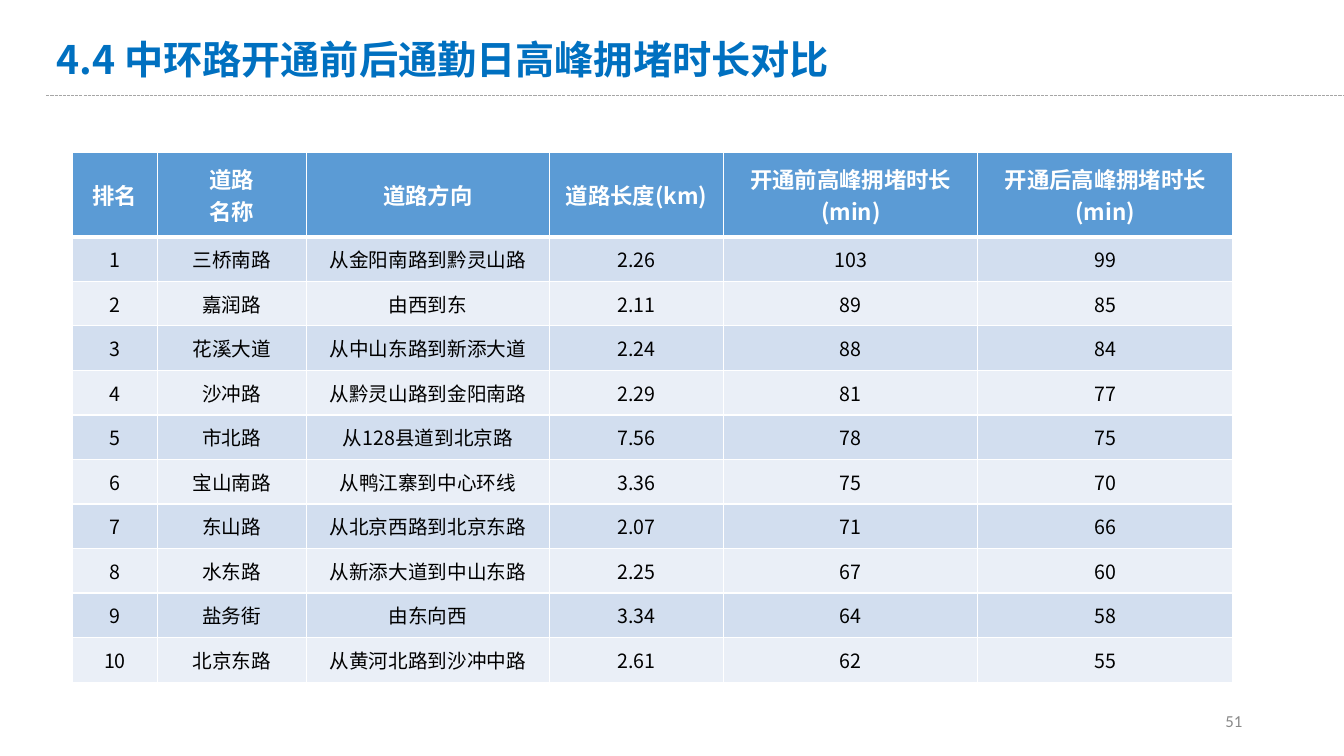
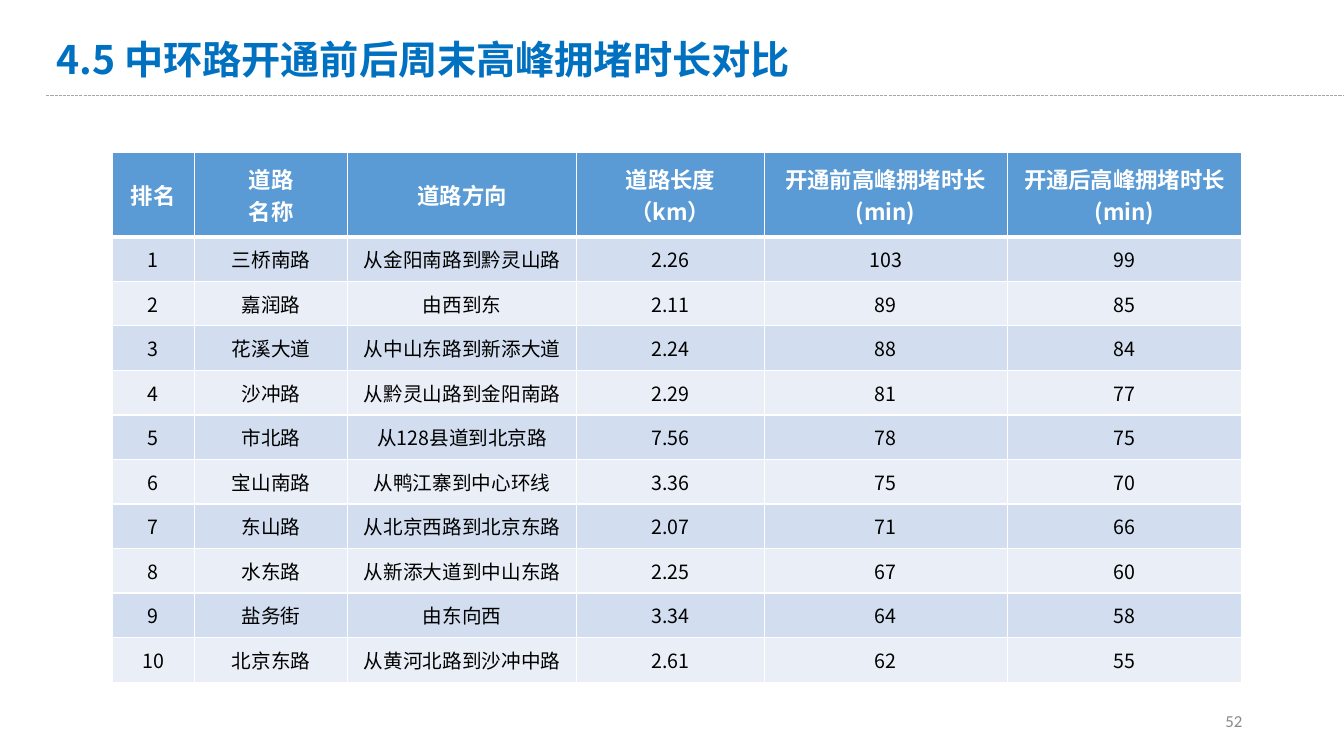
from pptx import Presentation
from pptx.dml.color import RGBColor
from pptx.enum.dml import MSO_LINE
from pptx.enum.shapes import MSO_CONNECTOR
from pptx.enum.text import MSO_ANCHOR, PP_ALIGN
from pptx.oxml.ns import qn
from pptx.util import Inches, Pt
from lxml import etree

CENTER, LEFT, RIGHT = PP_ALIGN.CENTER, PP_ALIGN.LEFT, PP_ALIGN.RIGHT
MIDDLE = MSO_ANCHOR.MIDDLE
DASH = MSO_LINE.SQUARE_DOT
STRAIGHT = MSO_CONNECTOR.STRAIGHT

COLORS = {
    "title": "0070C0",
    "rule": "A6A6A6",
    "header": "5B9BD5",
    "odd": "D2DEEF",
    "even": "EAEFF7",
    "border": "FFFFFF",
    "header_text": "FFFFFF",
    "body_text": "000000",
    "number": "898989",
}
MAIN_FONT = "Noto Sans CJK SC"
NUMBER_FONT = "Calibri"

ROADS = [
    ("三桥南路", "从金阳南路到黔灵山路", "2.26", "103", "99"),
    ("嘉润路", "由西到东", "2.11", "89", "85"),
    ("花溪大道", "从中山东路到新添大道", "2.24", "88", "84"),
    ("沙冲路", "从黔灵山路到金阳南路", "2.29", "81", "77"),
    ("市北路", "从128县道到北京路", "7.56", "78", "75"),
    ("宝山南路", "从鸭江寨到中心环线", "3.36", "75", "70"),
    ("东山路", "从北京西路到北京东路", "2.07", "71", "66"),
    ("水东路", "从新添大道到中山东路", "2.25", "67", "60"),
    ("盐务街", "由东向西", "3.34", "64", "58"),
    ("北京东路", "从黄河北路到沙冲中路", "2.61", "62", "55"),
]

PAGES = [
    {
        "title": "4.4 中环路开通前后通勤日高峰拥堵时长对比",
        "number": 51,
        "length_label": "道路长度(km)",
        "left": 5.4,
        "columns": [6.3, 11.1, 18.08, 12.98, 18.9, 18.98],
    },
    {
        "title": "4.5 中环路开通前后周末高峰拥堵时长对比",
        "number": 52,
        "length_label": "道路长度（km）",
        "left": 8.33,
        "columns": [6.15, 11.4, 17.03, 13.95, 18.08, 17.48],
    },
]


class Deck:
    """Positions and sizes are percentages of the slide width and height."""

    def __init__(self):
        self.presentation = Presentation()
        self.presentation.slide_width = Inches(13.33)
        self.presentation.slide_height = Inches(7.5)
        self.slide = None

    def across(self, share):
        return round(self.presentation.slide_width * share / 100)

    def down(self, share):
        return round(self.presentation.slide_height * share / 100)

    def add_slide(self, title, number):
        blank = self.presentation.slide_layouts[6]
        self.slide = self.presentation.slides.add_slide(blank)
        self.rule(3.45, 12.67)
        self.text(title, (3.45, 3.87, 64, 7.73), 28, "title", bold=True)
        self.text(str(number), (70.67, 92.67, 22.5, 5.33), 12, "number",
                  font=NUMBER_FONT, align=RIGHT)

    def rule(self, left, top):
        line = self.slide.shapes.add_connector(
            STRAIGHT, self.across(left), self.down(top),
            self.across(100), self.down(top))
        line.line.color.rgb = RGBColor.from_string(COLORS["rule"])
        line.line.width = Pt(0.75)
        line.line.dash_style = DASH
        etree.SubElement(line._element.spPr, qn("a:effectLst"))

    def text(self, content, box, size, color, font=MAIN_FONT, bold=False, align=LEFT):
        left, top, width, height = box
        shape = self.slide.shapes.add_textbox(
            self.across(left), self.down(top), self.across(width), self.down(height))
        shape.text_frame.word_wrap = True
        shape.text_frame.vertical_anchor = MIDDLE
        self.fill_text(shape.text_frame, content, size, color, font, bold, align)

    def fill_text(self, text_frame, content, size, color, font, bold, align):
        text_frame.text = content
        for paragraph in text_frame.paragraphs:
            paragraph.alignment = align
            for run in paragraph.runs:
                run.font.size = Pt(size)
                run.font.bold = bold
                run.font.name = font
                run.font.color.rgb = RGBColor.from_string(COLORS[color])
                east_asian = etree.Element(qn("a:ea"), typeface=font)
                run.font._element.find(qn("a:latin")).addnext(east_asian)

    def table(self, rows, left, top, columns, header_height, row_height):
        heights = [header_height] + [row_height] * (len(rows) - 1)
        table = self.slide.shapes.add_table(
            len(rows), len(columns), self.across(left), self.down(top),
            self.across(sum(columns)), self.down(sum(heights))).table
        for column, width in zip(table.columns, columns):
            column.width = self.across(width)
        for index, (row, height, values) in enumerate(zip(table.rows, heights, rows)):
            row.height = self.down(height)
            for cell, value in zip(row.cells, values):
                self.cell(cell, value, index)

    def cell(self, cell, value, row_index):
        is_header = row_index == 0
        band = "header" if is_header else ("odd" if row_index % 2 else "even")
        cell.fill.solid()
        cell.fill.fore_color.rgb = RGBColor.from_string(COLORS[band])
        cell.vertical_anchor = MIDDLE
        self.fill_text(cell.text_frame, value, 16 if is_header else 14,
                       "header_text" if is_header else "body_text",
                       MAIN_FONT, is_header, CENTER)
        widths = {"lnL": 1, "lnR": 1,
                  "lnT": 3 if row_index == 1 else 1,
                  "lnB": 3 if is_header else 1}
        properties = cell._tc.get_or_add_tcPr()
        for position, (side, width) in enumerate(widths.items()):
            border = etree.Element(qn(f"a:{side}"), w=str(Pt(width)))
            solid = etree.SubElement(border, qn("a:solidFill"))
            etree.SubElement(solid, qn("a:srgbClr"), val=COLORS["border"])
            properties.insert(position, border)


def main():
    deck = Deck()
    ranked_roads = [(str(rank), *road) for rank, road in enumerate(ROADS, 1)]
    for page in PAGES:
        deck.add_slide(page["title"], page["number"])
        header = ("排名", "道路\n名称", "道路方向", page["length_label"],
                  "开通前高峰拥堵时长(min)", "开通后高峰拥堵时长(min)")
        deck.table([header] + ranked_roads, page["left"], 20.13, page["columns"],
                   header_height=11.2, row_height=5.89)
    deck.presentation.save("out.pptx")


if __name__ == "__main__":
    main()
